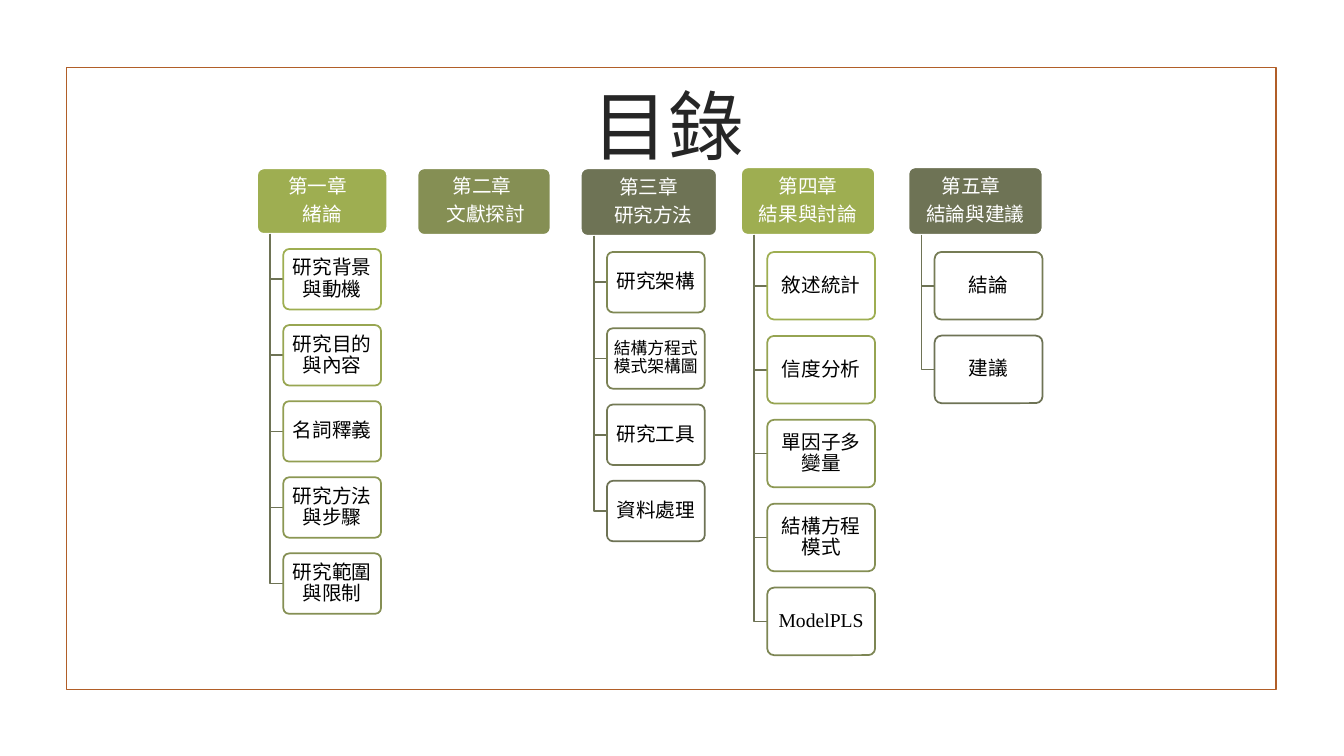
from lxml import etree
from pptx import Presentation
from pptx.dml.color import RGBColor
from pptx.enum.shapes import MSO_SHAPE
from pptx.enum.text import MSO_ANCHOR, PP_ALIGN
from pptx.oxml.ns import qn
from pptx.util import Inches, Pt

RECTANGLE, ROUNDED = MSO_SHAPE.RECTANGLE, MSO_SHAPE.ROUNDED_RECTANGLE
MIDDLE, CENTER = MSO_ANCHOR.MIDDLE, PP_ALIGN.CENTER

SANS, SERIF = "Noto Sans CJK SC", "Times New Roman"
COLORS = {"frame": "B15E28", "title": "262626", "white": "FFFFFF", "black": "000000",
          "light": "9EAE51", "medium": "858F54", "dark": "6E7355"}

TITLE = "目錄"
# heading: (text, left margin, right margin); topics: (text, size, font)
# topic_box: width, height, first top, last top; shades: first step, steps in all
CHAPTERS = [
    {"heading": [("第一章", 0, 0.09), ("緒論", 0, 0)], "fill": "light",
     "box": (2.55, 1.67, 1.29, 0.65), "topic_box": (0.97, 0.6, 2.47, 5.49), "shades": (0, 8),
     "topics": [("研究背景與動機", 14, SANS), ("研究目的與內容", 14, SANS),
                ("名詞釋義", 14, SANS), ("研究方法與步驟", 14, SANS),
                ("研究範圍與限制", 14, SANS)]},
    {"heading": [("第二章", 0, 0.04), ("文獻探討", 0.04, 0)], "fill": "medium",
     "box": (4.14, 1.67, 1.32, 0.66), "topics": []},
    {"heading": [("第三章", 0, 0), ("研究方法", 0.09, 0)], "fill": "dark",
     "box": (5.76, 1.67, 1.35, 0.67), "topic_box": (0.97, 0.6, 2.5, 4.77), "shades": (5, 8),
     "topics": [("研究架構", 14, SANS), ("結構方程式模式架構圖", 12, SANS),
                ("研究工具", 14, SANS), ("資料處理", 14, SANS)]},
    {"heading": [("第四章", 0, 0), ("結果與討論", 0, 0)], "fill": "light",
     "box": (7.35, 1.66, 1.33, 0.67), "topic_box": (1.07, 0.67, 2.5, 5.83), "shades": (0, 6),
     "topics": [("敘述統計", 14, SANS), ("信度分析", 14, SANS), ("單因子多變量", 14, SANS),
                ("結構方程模式", 14, SANS), ("ModelPLS", 14, SERIF)]},
    {"heading": [("第五章", 0, 0.09), ("結論與建議", 0, 0)], "fill": "dark",
     "box": (9.01, 1.66, 1.33, 0.67), "topic_box": (1.07, 0.67, 2.5, 3.33), "shades": (5, 6),
     "topics": [("結論", 14, SANS), ("建議", 14, SANS)]},
]
SPINE_OFFSET, TOPIC_OFFSET = 0.13, 0.26


def rgb(name):
    return RGBColor.from_string(COLORS[name])


def shade(step, steps):
    """Blend light to medium over the first half of the steps, then medium to dark."""
    position = 2 * step / steps
    start, end = ("light", "medium") if position <= 1 else ("medium", "dark")
    amount = position if position <= 1 else position - 1
    return RGBColor(*(round(a + (b - a) * amount) for a, b in zip(rgb(start), rgb(end))))


def add_text(paragraph, text, size, font_name, color):
    paragraph.alignment = CENTER
    run = paragraph.add_run()
    run.text = text
    run.font.size = Pt(size)
    run.font.name = font_name
    run.font.color.rgb = rgb(color)
    east_asian = etree.SubElement(run.font._element, qn("a:ea"))
    east_asian.set("typeface", font_name)


def add_box(slide, kind, box, line_color, fill=None):
    shape = slide.shapes.add_shape(kind, *map(Inches, box))
    shape.shadow.inherit = False
    shape.line.color.rgb = line_color
    shape.line.width = Pt(1.25)
    if fill:
        shape.fill.solid()
        shape.fill.fore_color.rgb = rgb(fill)
    else:
        shape.fill.background()
    return shape


def add_card(slide, box, line_color, fill, lines, text_color):
    """Rounded box; each line is text, size, font, left margin, right margin."""
    shape = add_box(slide, ROUNDED, box, line_color, fill)
    shape.adjustments[0] = 0.1
    frame = shape.text_frame
    frame.word_wrap = True
    frame.vertical_anchor = MIDDLE
    frame.margin_left = frame.margin_right = Inches(0.03)
    frame.margin_top = frame.margin_bottom = Inches(0.02)
    for index, (text, size, font_name, left, right) in enumerate(lines):
        paragraph = frame.add_paragraph() if index else frame.paragraphs[0]
        paragraph.line_spacing = 0.9
        paragraph.space_after = Pt(0.35 * size)
        properties = paragraph._p.get_or_add_pPr()
        properties.set("marL", str(Inches(left)))
        properties.set("marR", str(Inches(right)))
        add_text(paragraph, text, size, font_name, text_color)
    return shape


def add_branch(slide, spine, top, topic_left, middle):
    builder = slide.shapes.build_freeform(Inches(spine), Inches(top))
    builder.add_line_segments([(Inches(spine), Inches(middle)),
                               (Inches(topic_left), Inches(middle))], close=False)
    branch = builder.convert_to_shape()
    branch.shadow.inherit = False
    branch.fill.background()
    branch.line.color.rgb = rgb("dark")
    branch.line.width = Pt(1.25)


def add_chapter(slide, chapter):
    left, top, width, height = chapter["box"]
    heading = [(text, 14, SANS, before, after) for text, before, after in chapter["heading"]]
    add_card(slide, chapter["box"], rgb("white"), chapter["fill"], heading, "white")
    topics = chapter["topics"]
    if not topics:
        return
    topic_width, topic_height, first_top, last_top = chapter["topic_box"]
    first_step, steps = chapter["shades"]
    pitch = (last_top - first_top) / (len(topics) - 1)
    topic_left = left + TOPIC_OFFSET
    for index, topic in enumerate(topics):
        topic_top = first_top + index * pitch
        add_branch(slide, left + SPINE_OFFSET, top + height, topic_left,
                   topic_top + topic_height / 2)
        card = add_card(slide, (topic_left, topic_top, topic_width, topic_height),
                        shade(first_step + index, steps), "white", [(*topic, 0, 0)], "black")
        fill_color = card._element.spPr.find(qn("a:solidFill"))[0]
        etree.SubElement(fill_color, qn("a:alpha")).set("val", "90000")


def main():
    presentation = Presentation()
    presentation.slide_width, presentation.slide_height = Inches(13.33), Inches(7.5)
    slide = presentation.slides.add_slide(presentation.slide_layouts[6])
    add_box(slide, RECTANGLE, (0.66, 0.67, 12, 6.17), rgb("frame"))
    title = slide.shapes.add_textbox(*map(Inches, (4.86, 0.52, 3.54, 1.43))).text_frame
    title.word_wrap = True
    title.vertical_anchor = MIDDLE
    add_text(title.paragraphs[0], TITLE, 54, SANS, "title")
    for chapter in CHAPTERS:
        add_chapter(slide, chapter)
    presentation.save("out.pptx")


if __name__ == "__main__":
    main()
